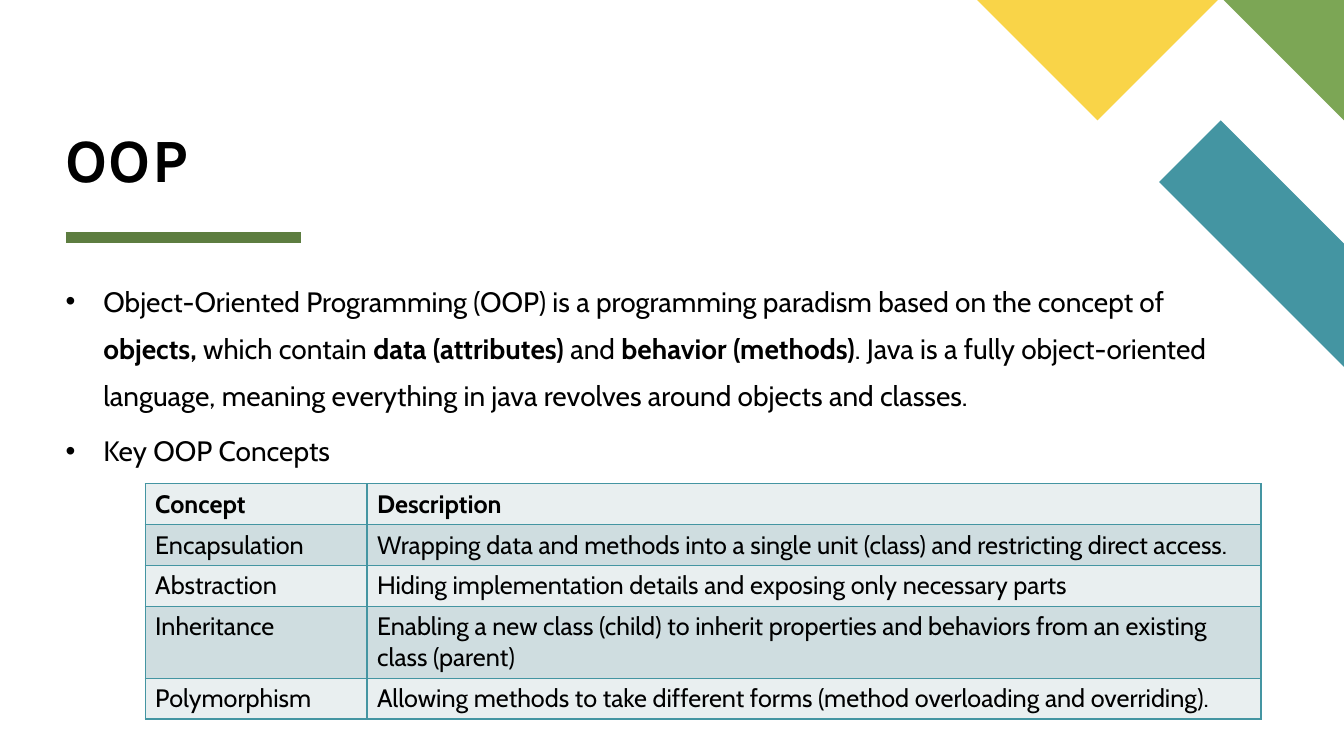
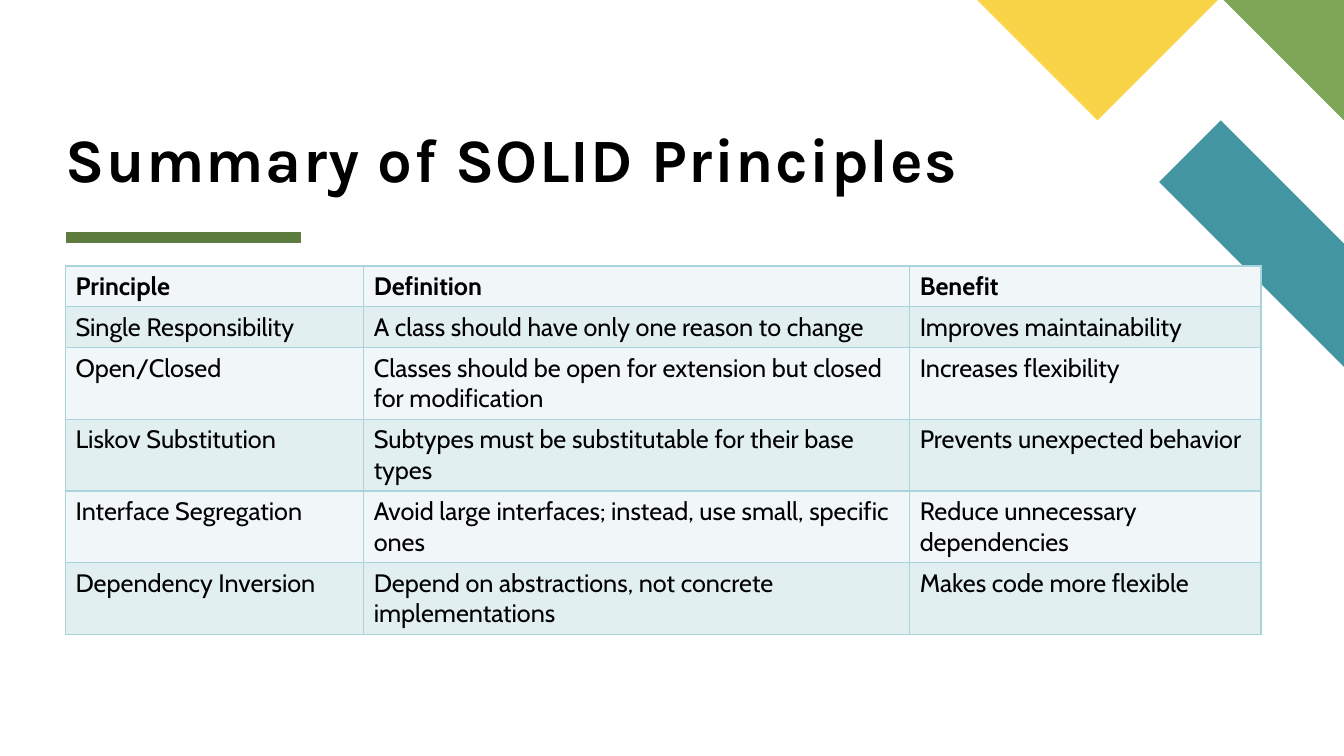
from dataclasses import dataclass

from lxml import etree
from pptx import Presentation
from pptx.dml.color import RGBColor
from pptx.enum import shapes, text
from pptx.oxml import ns
from pptx.util import Pt


@dataclass(frozen=True)
class Theme:
    ink: str = "000000"
    teal: str = "4495A2"
    green: str = "7CA655"
    gold: str = "F9D448"
    moss: str = "5D7D40"
    # Table palettes: odd row, even row, border
    deep: tuple = ("E9EFF0", "CFDDE0", "4495A2")
    pale: tuple = ("F1F7F8", "E2EFF1", "A9D4DB")
    head: str = "Karla"
    body: str = "Cabin"
    big: int = 44
    mid: int = 20
    small: int = 18


LEFT, TOP, WIDE, ROW = 46.8, 190, 854, 29.2


def rgb(code):
    return RGBColor.from_string(code)


def sub(node, tag, **attrs):
    return etree.SubElement(node, ns.qn(tag), attrs)


def write(para, words, font, size, color, bold=False, gap=None):
    """Add words to a paragraph; parts between ** marks are bold."""
    for i, part in enumerate(words.split("**")):
        if not part:
            continue
        run = para.add_run()
        run.text = part
        run.font.name = font
        run.font.size = Pt(size)
        run.font.bold = bold or i % 2 == 1
        run.font.color.rgb = rgb(color)
        if gap:
            run.font._element.set("spc", str(gap * 100))


class Deck:
    def __init__(self, theme):
        self.theme = theme
        self.prs = Presentation()
        self.prs.slide_width, self.prs.slide_height = Pt(960), Pt(540)

    def page(self, title, layout):
        self.slide = self.prs.slides.add_slide(self.prs.slide_layouts[layout])
        look = self.theme
        self.shape(look.teal, (960, 262), (960, 174), (872, 86), (828, 130))
        self.shape(look.green, (960, 86), (960, 0), (874, 0))
        self.shape(look.gold, (698, 0), (784, 86), (870, 0))
        self.rule(LEFT, 169.4, 168)
        self.title(title)

    def shape(self, color, *dots):
        (x, y), *rest = [(Pt(a), Pt(b)) for a, b in dots]
        pen = self.slide.shapes.build_freeform(x, y)
        pen.add_line_segments(rest, close=True)
        form = pen.convert_to_shape()
        form.shadow.inherit = False
        form.fill.solid()
        form.fill.fore_color.rgb = rgb(color)
        form.line.fill.background()

    def rule(self, x, y, wide):
        line = self.slide.shapes.add_connector(
            shapes.MSO_CONNECTOR.STRAIGHT, Pt(x), Pt(y), Pt(x + wide), Pt(y))
        line.line.color.rgb = rgb(self.theme.moss)
        line.line.width = Pt(8)
        sub(line._element.spPr, "a:effectLst")

    def frame(self, holder, x, y, wide, high, anchor, top=0):
        """Place a placeholder and return its text frame."""
        holder.left, holder.top = Pt(x), Pt(y)
        holder.width, holder.height = Pt(wide), Pt(high)
        box = holder.text_frame
        box.margin_left = box.margin_right = box.margin_bottom = 0
        box.margin_top = Pt(top)
        box.word_wrap = True
        box.auto_size = text.MSO_AUTO_SIZE.NONE
        box.vertical_anchor = anchor
        return box

    def title(self, words):
        box = self.frame(self.slide.shapes.title, LEFT, 21.6, 770, 117.4,
                         text.MSO_ANCHOR.BOTTOM)
        para = box.paragraphs[0]
        para.alignment = text.PP_ALIGN.LEFT
        para.line_spacing = 0.8
        look = self.theme
        write(para, words, look.head, look.big, look.ink, bold=True, gap=1)

    def bullets(self, items):
        box = self.frame(self.slide.placeholders[1], LEFT, TOP, WIDE, 311,
                         text.MSO_ANCHOR.TOP, top=3.6)
        look = self.theme
        for i, item in enumerate(items):
            para = box.add_paragraph() if i else box.paragraphs[0]
            props = para._p.get_or_add_pPr()
            props.set("marL", str(Pt(27)))
            props.set("indent", str(-Pt(27)))
            sub(props, "a:buFont", typeface="Arial")
            sub(props, "a:buChar", char="•")
            para.line_spacing = 1.4
            para.space_before = Pt(6 if i else 0)
            write(para, item, look.body, look.mid, look.ink)

    def border(self, cell, color):
        props = cell._tc.get_or_add_tcPr()
        for side in "LRTB":
            line = sub(props, f"a:ln{side}", w=str(Pt(1)))
            sub(sub(line, "a:solidFill"), "a:srgbClr", val=color)

    def table(self, x, y, cols, rows, hues):
        *bands, edge = hues
        look = self.theme
        grid = self.slide.shapes.add_table(
            len(rows), len(cols), Pt(x), Pt(y),
            Pt(sum(cols)), Pt(ROW * len(rows))).table
        grid.horz_banding = False
        for col, wide in zip(grid.columns, cols):
            col.width = Pt(wide)
        for r, row in enumerate(rows):
            grid.rows[r].height = Pt(ROW)
            for c, words in enumerate(row):
                cell = grid.cell(r, c)
                self.border(cell, edge)
                cell.fill.solid()
                cell.fill.fore_color.rgb = rgb(bands[r % 2])
                write(cell.text_frame.paragraphs[0], words, look.body,
                      look.small, look.ink, bold=r == 0)


def main():
    theme = Theme()
    deck = Deck(theme)

    deck.page("OOP", layout=1)
    deck.bullets([
        "Object-Oriented Programming (OOP) is a programming paradism based on "
        "the concept of **objects, **which contain **data (attributes) **and "
        "**behavior (methods)**. Java is a fully object-oriented language, "
        "meaning everything in java revolves around objects and classes.",
        "Key OOP Concepts",
    ])
    deck.table(103.7, 345.6, (158.5, 638.6), [
        ("Concept", "Description"),
        ("Encapsulation", "Wrapping data and methods into a single unit "
         "(class) and restricting direct access."),
        ("Abstraction", "Hiding implementation details and exposing only "
         "necessary parts"),
        ("Inheritance", "Enabling a new class (child) to inherit properties "
         "and behaviors from an existing class (parent)"),
        ("Polymorphism", "Allowing methods to take different forms (method "
         "overloading and overriding)."),
    ], theme.deep)

    deck.page("Summary of SOLID Principles", layout=5)
    deck.table(LEFT, TOP, (213, 390, 251), [
        ("Principle", "Definition", "Benefit"),
        ("Single Responsibility",
         "A class should have only one reason to change",
         "Improves maintainability"),
        ("Open/Closed",
         "Classes should be open for extension but closed for modification",
         "Increases flexibility"),
        ("Liskov Substitution",
         "Subtypes must be substitutable for their base types",
         "Prevents unexpected behavior"),
        ("Interface Segregation",
         "Avoid large interfaces; instead, use small, specific ones",
         "Reduce unnecessary dependencies"),
        ("Dependency Inversion",
         "Depend on abstractions, not concrete implementations",
         "Makes code more flexible"),
    ], theme.pale)

    deck.prs.save("out.pptx")


if __name__ == "__main__":
    main()
